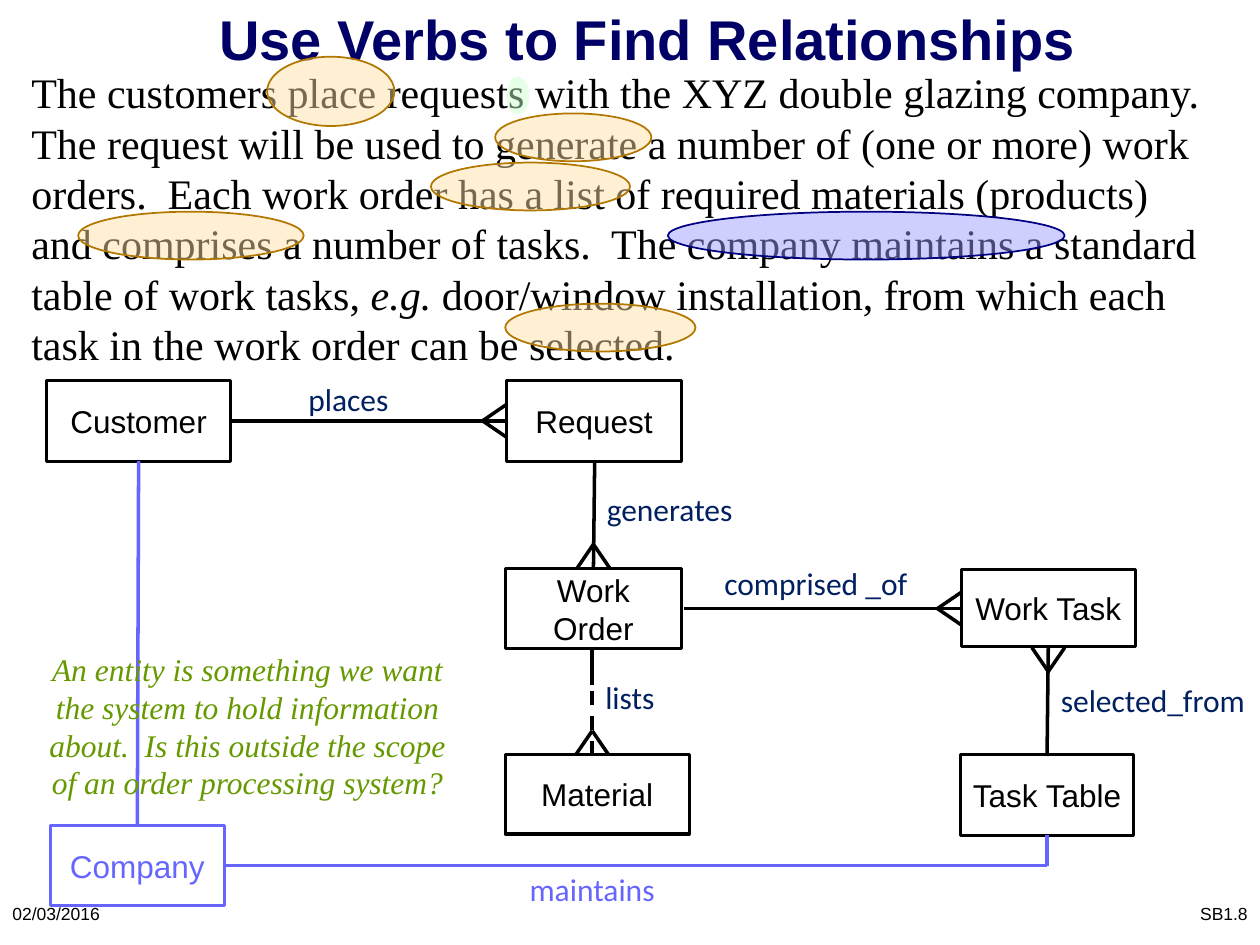
"""Build the slide that derives entity relationships from verbs."""
from lxml.etree import SubElement
from pptx import Presentation
from pptx.dml.color import RGBColor
from pptx.enum.dml import MSO_LINE
from pptx.enum.shapes import MSO_CONNECTOR, MSO_SHAPE
from pptx.enum.text import MSO_ANCHOR, PP_ALIGN
from pptx.oxml.ns import qn
from pptx.util import Inches, Pt

BLACK, NAVY, LABEL, VIOLET = "000000", "000066", "002060", "6666FF"
AMBER, AMBER_EDGE = "FFE0A3", "B27700"


def color(value):
    """Turn a hex string into a colour."""
    return RGBColor.from_string(value)


def place(shape, box):
    """Move a shape to a box given in inches."""
    shape.left, shape.top, shape.width, shape.height = map(Inches, box)


def style(paragraph, font, size, ink, align=PP_ALIGN.CENTER, bold=False, italic=False):
    """Format a whole paragraph."""
    paragraph.alignment = align
    paragraph.font.name = font
    paragraph.font.size = Pt(size)
    paragraph.font.bold = bold
    paragraph.font.italic = italic
    paragraph.font.color.rgb = color(ink)


def add_text(slide, box, words, font, size, ink, wrap=True, anchor=MSO_ANCHOR.TOP, **look):
    """Add a one-paragraph text box and return its paragraph."""
    frame = slide.shapes.add_textbox(*map(Inches, box)).text_frame
    frame.word_wrap = wrap
    frame.vertical_anchor = anchor
    paragraph = frame.paragraphs[0]
    paragraph.text = words
    style(paragraph, font, size, ink, **look)
    return paragraph


def add_title(slide, box, words):
    """Fill and format the title placeholder."""
    title = slide.shapes.title
    place(title, box)
    title.text_frame.text = words
    title.text_frame.vertical_anchor = MSO_ANCHOR.BOTTOM
    style(title.text_frame.paragraphs[0], "Arial", 32, NAVY, bold=True)


def add_case_study(slide, box):
    """Add the case description with its italic abbreviation."""
    story = add_text(
        slide, box,
        "The customers place requests with the XYZ double glazing company.  "
        "The request will be used to generate a number of (one or more) work orders.  "
        "Each work order has a list of required materials (products) and comprises "
        "a number of tasks.  The company maintains a standard table of work tasks, ",
        "Times New Roman", 24, BLACK, align=PP_ALIGN.LEFT)
    abbreviation = story.add_run()
    abbreviation.text = "e.g."
    abbreviation.font.italic = True
    story.add_run().text = (" door/window installation, from which each task "
                            "in the work order can be selected.")


def add_entity(slide, box, name, ink=BLACK):
    """Add an entity rectangle with its name."""
    entity = slide.shapes.add_shape(MSO_SHAPE.RECTANGLE, *map(Inches, box))
    entity.shadow.inherit = False
    entity.fill.solid()
    entity.fill.fore_color.rgb = color("FFFFFF")
    entity.line.color.rgb = color(ink)
    entity.line.width = Pt(1.75)
    frame = entity.text_frame
    frame.word_wrap = False
    frame.vertical_anchor = MSO_ANCHOR.MIDDLE
    frame.text = name
    style(frame.paragraphs[0], "Arial", 18, ink)


def add_line(slide, start, end, ink=BLACK, dashed=False):
    """Add a straight line between two points in inches."""
    line = slide.shapes.add_connector(MSO_CONNECTOR.STRAIGHT, *map(Inches, start + end))
    line.line.color.rgb = color(ink)
    line.line.width = Pt(2)
    if dashed:
        line.line.dash_style = MSO_LINE.DASH
    SubElement(line._element.spPr, qn("a:effectLst"))


def add_crows_foot(slide, end, direction):
    """Add the fork of a "many" end that opens in the given direction."""
    (x, y), (dx, dy) = end, direction
    tip = (x - 0.19 * dx, y - 0.19 * dy)
    for side in (-0.13, 0.13):
        add_line(slide, tip, (x + side * dy, y + side * dx))


def add_label(slide, box, verb, ink=LABEL):
    """Add the verb that names a relationship."""
    add_text(slide, box, verb, "Calibri", 18, ink, wrap=False)


def add_highlight(slide, box, tint=AMBER, edge=AMBER_EDGE):
    """Add a translucent ellipse over a phrase."""
    highlight = slide.shapes.add_shape(MSO_SHAPE.OVAL, *map(Inches, box))
    highlight.shadow.inherit = False
    highlight.fill.solid()
    highlight.fill.fore_color.rgb = color(tint)
    tint_xml = highlight._element.spPr.find(qn("a:solidFill"))[0]
    SubElement(tint_xml, qn("a:alpha"), val="47000")
    if edge:
        highlight.line.color.rgb = color(edge)
        highlight.line.width = Pt(1)
    else:
        highlight.line.fill.background()


def add_order_model(slide):
    """Add the entities and relationships of order processing."""
    for box, name in (
        ((0.37, 3.02, 1.46, 0.64), "Customer"),
        ((4.02, 3.02, 1.39, 0.64), "Request"),
        ((4.01, 4.51, 1.4, 0.64), "Work\vOrder"),
        ((4.01, 5.99, 1.46, 0.63), "Material"),
        ((7.63, 4.52, 1.38, 0.61), "Work Task"),
        ((7.62, 5.99, 1.38, 0.64), "Task Table"),
    ):
        add_entity(slide, box, name)
    right, down, up = (1, 0), (0, 1), (0, -1)
    for start, end, direction, verb, label_box in (
        ((1.83, 3.34), (4.02, 3.34), right, "places", (2.34, 2.97, 0.85, 0.4)),
        ((4.72, 3.66), (4.71, 4.51), down, "generates", (4.71, 3.84, 1.21, 0.4)),
        ((5.43, 4.83), (7.63, 4.83), right, "comprised _of", (5.64, 4.43, 1.67, 0.4)),
        ((8.31, 6), (8.32, 5.14), up, "selected_from", (8.31, 5.36, 1.68, 0.4)),
        ((4.7, 5.16), (4.7, 5.99), down, "lists", (4.7, 5.33, 0.6, 0.4)),
    ):
        if verb == "lists":
            add_line(slide, start, (4.7, 5.44))
            add_line(slide, end, (4.7, 5.48), dashed=True)
        else:
            add_line(slide, start, end)
        add_crows_foot(slide, end, direction)
        add_label(slide, label_box, verb)


def add_company_model(slide):
    """Add the questioned company entity with its links."""
    add_entity(slide, (0.4, 6.55, 1.38, 0.64), "Company", VIOLET)
    for start, end in (
        ((1.09, 6.55), (1.1, 3.66)),
        ((8.31, 6.87), (8.31, 6.63)),
        ((1.77, 6.87), (8.31, 6.87)),
    ):
        add_line(slide, start, end, VIOLET)
    add_label(slide, (4.1, 6.86, 1.2, 0.4), "maintains", VIOLET)
    add_text(slide, (0.21, 5.11, 3.51, 1.31),
             "An entity is something we want the system to hold information about.  "
             "Is this outside the scope of an order processing system?",
             "Times New Roman", 18, "669900", italic=True)


def build():
    """Assemble and save the slide."""
    deck = Presentation()
    deck.slide_width, deck.slide_height = Inches(10), Inches(7.5)
    slide = deck.slides.add_slide(deck.slide_layouts[5])
    for left, words, align in ((0, "02/03/2016", PP_ALIGN.LEFT),
                               (7.92, "SB1.8", PP_ALIGN.RIGHT)):
        add_text(slide, (left, 7, 2.08, 0.5), words, "Arial", 10, BLACK,
                 anchor=MSO_ANCHOR.MIDDLE, align=align)
    add_title(slide, (0.89, 0, 8.5, 0.62), "Use Verbs to Find Relationships")
    add_case_study(slide, (0.15, 0.48, 9.58, 2.57))
    add_order_model(slide)
    for box in ((2.12, 0.45, 1.01, 0.55), (3.93, 0.9, 1.24, 0.38),
                (3.42, 1.29, 1.58, 0.38), (0.62, 1.68, 1.79, 0.38),
                (4.01, 2.41, 1.51, 0.38)):
        add_highlight(slide, box)
    add_highlight(slide, (4.02, 0.61, 0.18, 0.3), "CCFFCC", None)
    add_company_model(slide)
    add_highlight(slide, (5.3, 1.68, 3.15, 0.38), "9999FF", "000080")
    deck.save("out.pptx")


build()
